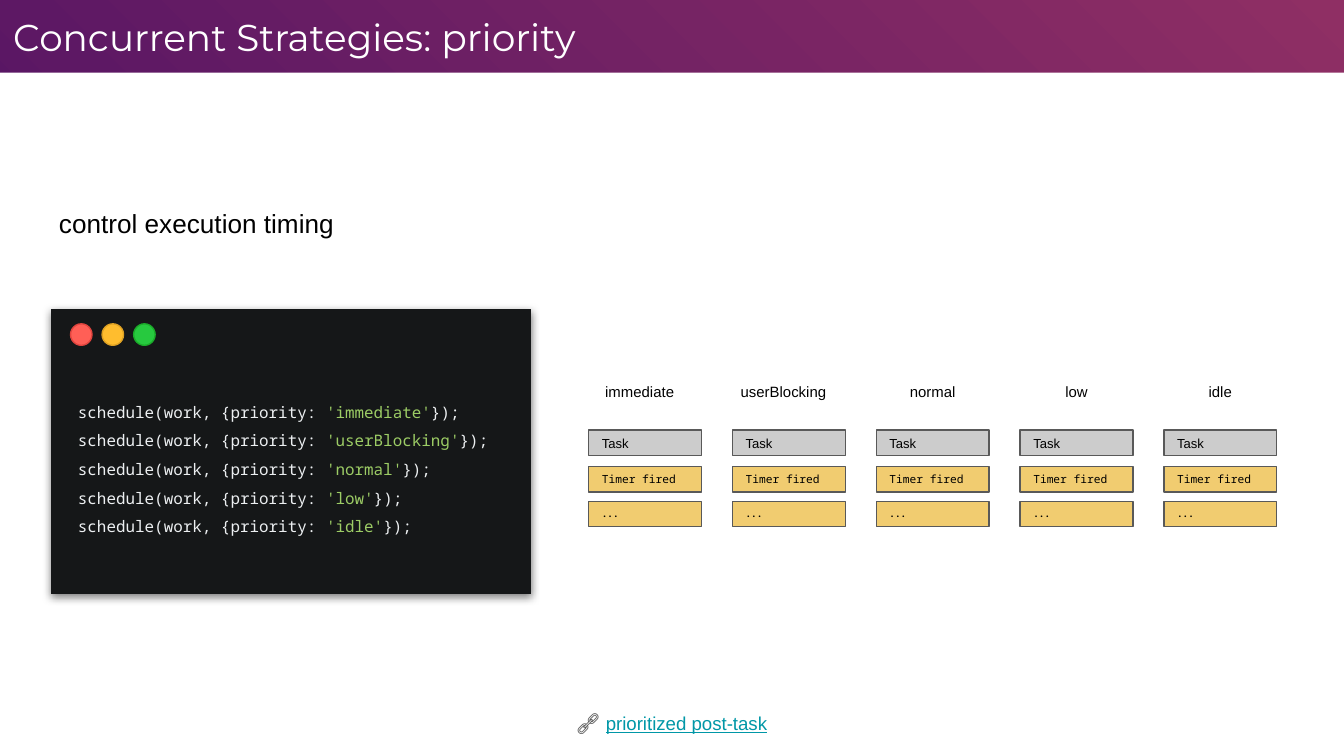
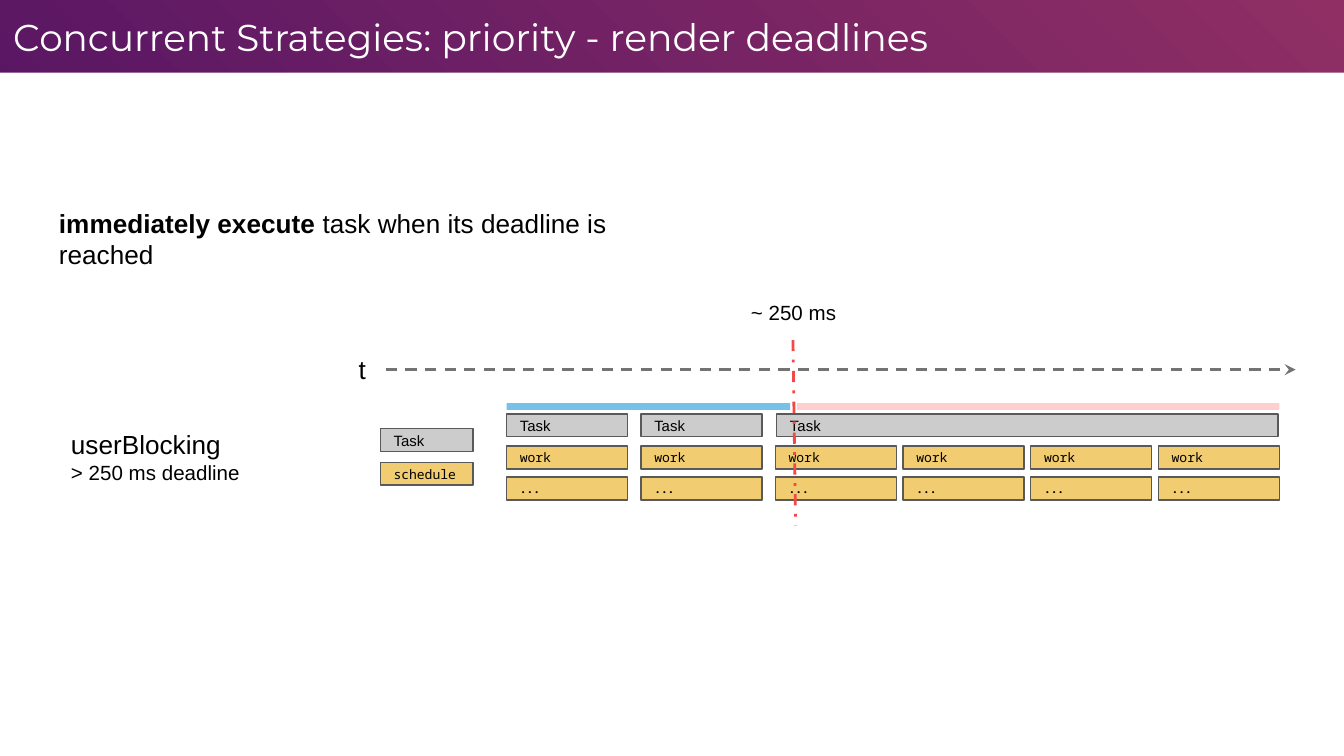
from pptx import Presentation
from pptx import util as u
from pptx.dml.color import RGBColor
from pptx.enum import dml, shapes, text
from pptx.oxml import parse_xml
from pptx.oxml.ns import nsdecls, qn

PX = 4572
BLACK = RGBColor(0, 0, 0)
WHITE = RGBColor(255, 255, 255)
GRAY = RGBColor(0xCC, 0xCC, 0xCC)
GOLD = RGBColor(0xEF, 0xC4, 0x57)
EDGE = RGBColor(0x59, 0x59, 0x59)
AXIS = RGBColor(0x73, 0x73, 0x73)
TEAL = RGBColor(0x00, 0x97, 0xA7)
DARK = RGBColor(0x15, 0x17, 0x18)
PALE = RGBColor(0xEC, 0xEF, 0xF1)
GREEN = RGBColor(0x9C, 0xCC, 0x65)
BLUE = RGBColor(0x23, 0x9C, 0xDA)
RED = RGBColor(255, 0, 0)
CORAL = RGBColor(0xF4, 0x47, 0x47)
LIGHTS = [
    (RGBColor(0xFF, 0x5F, 0x56), RGBColor(0xE0, 0x44, 0x3E)),
    (RGBColor(0xFF, 0xBD, 0x2E), RGBColor(0xDE, 0xA1, 0x23)),
    (RGBColor(0x27, 0xC9, 0x3F), RGBColor(0x1A, 0xAB, 0x29)),
]
SANS, MONO, HEAD = "Arial", "Noto Sans Mono", "Montserrat"
RECT, OVAL = shapes.MSO_SHAPE.RECTANGLE, shapes.MSO_SHAPE.OVAL


def draw(page, kind, x, y, w, h, fill=None, edge=None, alpha=100):
    place = [n * PX for n in (x, y, w, h)]
    if kind is None:
        return page.shapes.add_textbox(*place)
    shape = page.shapes.add_shape(kind, *place)
    shape.shadow.inherit = False
    shape.fill.solid()
    shape.fill.fore_color.rgb = fill
    if alpha < 100:
        tint = shape._element.spPr.find(qn("a:solidFill"))[0]
        tint.append(parse_xml(f'<a:alpha {nsdecls("a")} val="{alpha * 1000}"/>'))
    if edge is None:
        shape.line.fill.background()
    else:
        shape.line.color.rgb = edge
        shape.line.width = u.Pt(0.75)
    return shape


def write(shape, words, size, face=SANS, ink=BLACK, align=text.PP_ALIGN.LEFT):
    frame = shape.text_frame
    frame.word_wrap = True
    frame.margin_left = frame.margin_right = 20 * PX
    frame.margin_top = frame.margin_bottom = 20 * PX
    frame.text = words
    for line in frame.paragraphs:
        first, *rest = line.text.split("|")
        line.text = first
        for part in rest:
            line.add_run().text = part
        line.alignment = align
        for run in line.runs:
            run.font.size = u.Pt(size)
            run.font.name = face
            run.font.color.rgb = ink
    return frame


deck = Presentation()
deck.slide_width, deck.slide_height = 2000 * PX, 1125 * PX
blank = deck.slide_layouts[6]
mid = text.PP_ALIGN.CENTER

back = deck.slide_master.background.fill
back.gradient()
stops = [(0, "F35C65"), (0, "8F2F64"), (64, "5D1864"), (100, "2B0163")]
marks = "".join(
    f'<a:gs pos="{at * 1000}"><a:srgbClr val="{tone}"/></a:gs>' for at, tone in stops
)
blend = parse_xml(
    f'<a:gradFill {nsdecls("a")} rotWithShape="0"><a:gsLst>{marks}</a:gsLst>'
    '<a:path path="circle"><a:fillToRect l="100000" b="100000"/></a:path></a:gradFill>'
)
old = deck.slide_master._element.find(".//" + qn("a:gradFill"))
old.getparent().replace(old, blend)

pages = []
for topic in ("priority", "priority - render deadlines"):
    page = deck.slides.add_slide(blank)
    draw(page, RECT, 0, 108, 2000, 1017, WHITE)
    title = draw(page, None, 0, 0, 1802, 108)
    frame = write(title, "Concurrent Strategies: |" + topic, 20, HEAD, WHITE)
    frame.paragraphs[0].runs[1].font.size = u.Pt(20.2)
    pages.append(page)
first, second = pages

levels = ["immediate", "userBlocking", "normal", "low", "idle"]

frame = write(draw(first, None, 672, 1034, 656, 80), "🔗 |prioritized post-task", 12, SANS, EDGE, mid)
link = frame.paragraphs[0].runs[1].font
link.size, link.underline = u.Pt(10), True
link.color.rgb = TEAL
write(draw(first, None, 68, 288, 762, 88), "control execution timing", 14)

panel = draw(first, RECT, 76, 460, 714, 424, DARK)
panel._element.spPr.find(qn("a:effectLst")).append(parse_xml(
    f'<a:outerShdw {nsdecls("a")} blurRad="57150" dist="19050" dir="5400000" algn="bl" rotWithShape="0">'
    '<a:srgbClr val="000000"><a:alpha val="50000"/></a:srgbClr></a:outerShdw>'
))
code = "\n".join(f"schedule(work, {{priority: |'{name}'|}});" for name in levels)
frame = write(draw(first, None, 76, 520, 714, 362), code, 8.5, MONO, PALE)
frame.vertical_anchor = text.MSO_ANCHOR.MIDDLE
frame.margin_left = frame.margin_right = frame.margin_bottom = 40 * PX
for line in frame.paragraphs:
    line.line_spacing = 1.5
    line.runs[1].font.color.rgb = GREEN
for i, (fill, edge) in enumerate(LIGHTS):
    draw(first, OVAL, 105 + 47 * i, 482, 32, 32, fill, edge)

bars = []
for i, name in enumerate(levels):
    x = 876 + 214 * i
    for y, word, size in ((640, "Task", 7), (694, "Timer fired", 6), (746, "...", 5)):
        bars.append((first, x, y, 168, 38, word, size))
    left, wide = (x - 14, 180) if i < 2 else (x, 168)
    write(draw(first, None, left, 556, wide, 68), name, 8, align=mid)

for x, wide in ((754, 180), (954, 180), (1156, 746)):
    bars.append((second, x, 616, wide, 34, "Task", 8))
for x in (754, 954, 1154, 1344, 1534, 1724):
    bars.append((second, x, 664, 180, 34, "work", 7))
    bars.append((second, x, 710, 180, 34, "...", 6))
bars.append((second, 566, 638, 138, 34, "Task", 8))
bars.append((second, 566, 688, 138, 34, "schedule", 7))

for page, x, y, wide, high, word, size in bars:
    task = word == "Task"
    bar = draw(page, RECT, x, y, wide, high, GRAY if task else GOLD, EDGE, 100 if task else 85)
    frame = write(bar, word, size, SANS if task else MONO)
    frame.vertical_anchor = text.MSO_ANCHOR.MIDDLE
    if word == "...":
        frame.paragraphs[0].runs[0].font.bold = True

draw(second, RECT, 754, 600, 422, 10, BLUE, alpha=62)
draw(second, RECT, 1186, 600, 718, 10, RED, alpha=19)

frame = write(draw(second, None, 86, 618, 354, 124), "userBlocking\v> 250 ms deadline", 14)
frame.paragraphs[0].runs[1].font.size = u.Pt(11)
write(draw(second, None, 1076, 428, 210, 78), "~ 250 ms", 11, align=mid)
write(draw(second, None, 514, 506, 44, 88), "t", 14)
frame = write(draw(second, None, 68, 288, 990, 134), "immediately execute| task when its deadline is reached", 14)
frame.paragraphs[0].runs[0].font.bold = True

dash = dml.MSO_LINE
for ends, tone, style, tip in (
    ((1180, 506, 1184, 782), CORAL, dash.DASH_DOT, False),
    ((574, 550, 1928, 550), AXIS, dash.DASH, True),
):
    line = second.shapes.add_connector(shapes.MSO_CONNECTOR.STRAIGHT, *[n * PX for n in ends])
    line.line.color.rgb = tone
    line.line.width = u.Pt(1.5)
    line.line.dash_style = style
    if tip:
        line.line._get_or_add_ln().append(parse_xml(f'<a:tailEnd {nsdecls("a")} type="stealth"/>'))
    line._element.spPr.append(parse_xml(f'<a:effectLst {nsdecls("a")}/>'))

deck.save("out.pptx")
